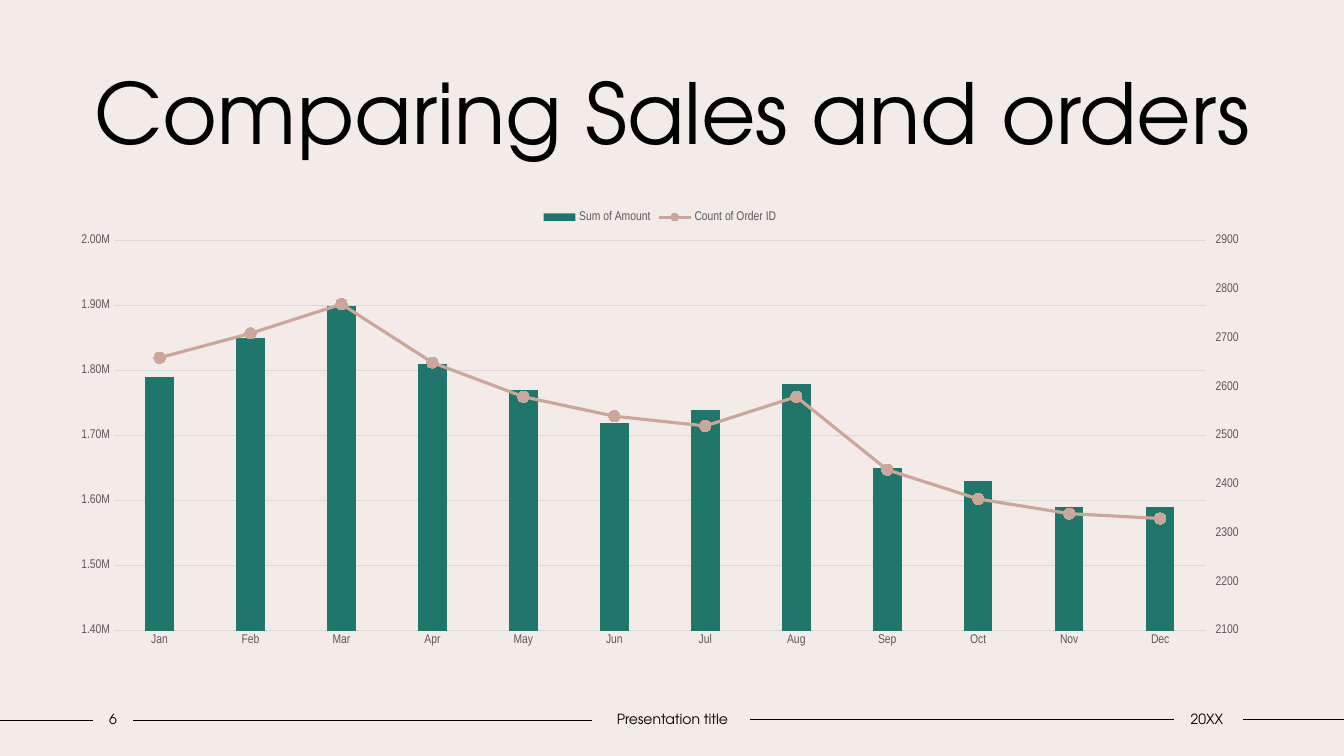
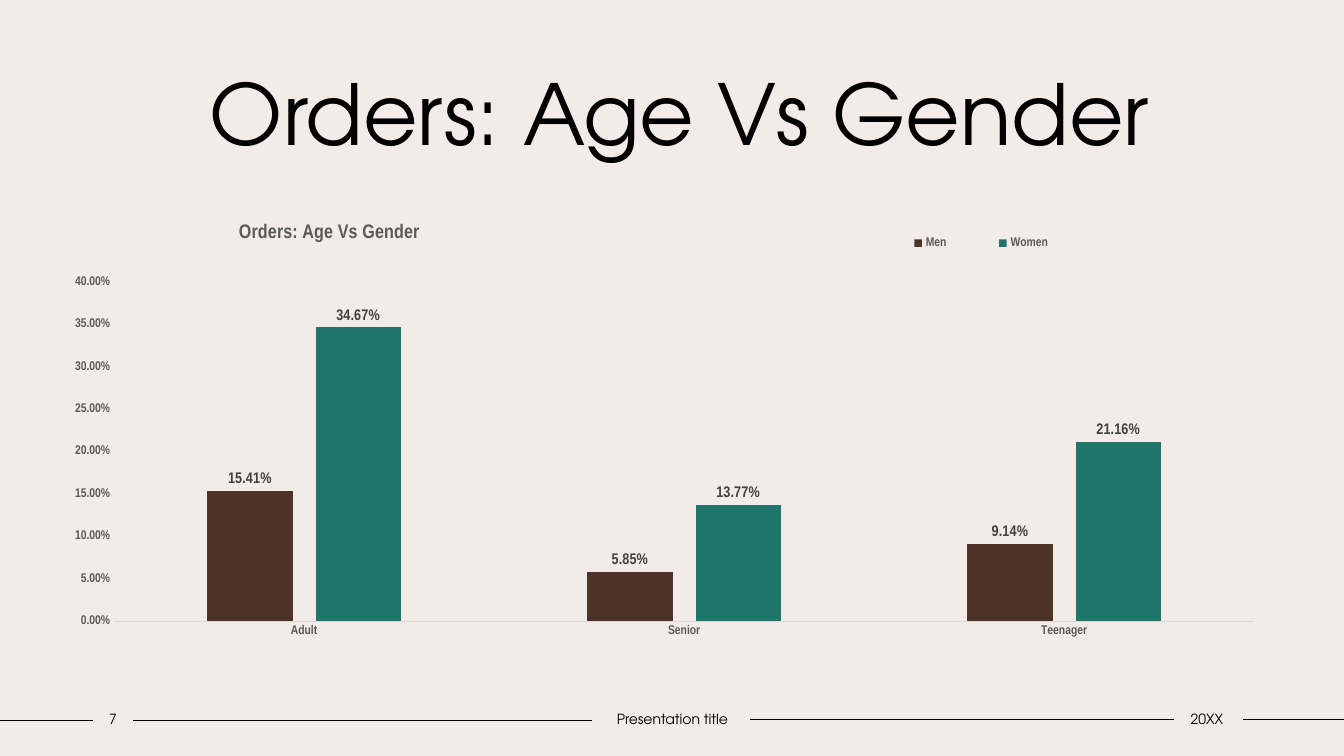
from dataclasses import dataclass

from pptx import Presentation
from pptx.chart.axis import ValueAxis
from pptx.chart.data import CategoryChartData
from pptx.dml.color import RGBColor
from pptx.enum.chart import (XL_CHART_TYPE, XL_LABEL_POSITION, XL_LEGEND_POSITION,
                             XL_MARKER_STYLE, XL_TICK_MARK)
from pptx.enum.shapes import MSO_CONNECTOR
from pptx.enum.text import MSO_ANCHOR, PP_ALIGN
from pptx.oxml import parse_xml
from pptx.oxml.ns import nsdecls, qn
from pptx.util import Inches, Pt

COLUMNS = XL_CHART_TYPE.COLUMN_CLUSTERED
OUTSIDE_END = XL_LABEL_POSITION.OUTSIDE_END
LEGEND_TOP = XL_LEGEND_POSITION.TOP
CIRCLE = XL_MARKER_STYLE.CIRCLE
NO_TICK = XL_TICK_MARK.NONE
TICK_OUT = XL_TICK_MARK.OUTSIDE
STRAIGHT = MSO_CONNECTOR.STRAIGHT
TOP, MIDDLE = MSO_ANCHOR.TOP, MSO_ANCHOR.MIDDLE
CENTER = PP_ALIGN.CENTER


@dataclass(frozen=True)
class Theme:
    paper: str = "F3EBE8"
    ink: str = "000000"
    axis: str = "595959"
    label: str = "404040"
    grid: str = "D9D9D9"
    teal: str = "20766B"
    rose: str = "CAA79A"
    brown: str = "4E3329"
    font: str = "TeX Gyre Adventor"
    chart_font: str = "Arial Narrow"
    title_size: int = 60
    footer_size: int = 10
    chart_title_size: int = 14
    label_size: int = 11
    axis_size: int = 9


T = Theme()

# Content
SALES = {
    "title": "Comparing Sales and orders",
    "title_box": (0.74, 0.55, 11.85, 1.11),
    "number": "6",
    "cats": ["Jan", "Feb", "Mar", "Apr", "May", "Jun",
             "Jul", "Aug", "Sep", "Oct", "Nov", "Dec"],
    "series": [
        ("Sum of Amount", T.teal,
         [1790000, 1850000, 1900000, 1810000, 1770000, 1720000,
          1740000, 1780000, 1650000, 1630000, 1590000, 1590000]),
        ("Count of Order ID", T.rose,
         [2660, 2710, 2770, 2650, 2580, 2540, 2520, 2580, 2430, 2370, 2340, 2330]),
    ],
    "scale": (1400000, 2000000, 100000),
    "format": '0.00,,"M"',
    "bold": False,
    "plot": (0.05, 0.09, 0.9, 0.85),
}
GENDER = {
    "title": "Orders: Age Vs Gender",
    "title_box": (0.55, 0.56, 12.38, 1.11),
    "number": "7",
    "cats": ["Adult", "Senior", "Teenager"],
    "series": [
        ("Men", T.brown, [0.1541, 0.0585, 0.0914]),
        ("Women", T.teal, [0.3467, 0.1377, 0.2116]),
    ],
    "scale": (0, 0.4, 0.05),
    "format": "0.00%",
    "bold": True,
    "plot": (0.05, 0.18, 0.94, 0.74),
}
ORDER_SCALE = (2100, 2900, 100)
CHART_BOX = (0.53, 1.98, 12.03, 4.55)

# Footer: rules as (from x, to x, y), texts as (left, width)
FOOTER_RULES = [(0, 0.92, 7.15), (1.32, 5.87, 7.15), (7.44, 11.64, 7.14), (12.33, 13.33, 7.14)]
FOOTER_SLOTS = [(0.92, 0.4), (5.87, 1.6), (11.62, 0.7)]
FOOTER_TOP, FOOTER_HEIGHT = 7, 0.27


def rgb(color):
    return RGBColor.from_string(color)


def set_font(font, name, size, color, bold=False):
    font.name, font.size, font.bold = name, Pt(size), bold
    font.color.rgb = rgb(color)


def add_text(s, box, text, size, anchor, side_inset):
    tf = s.shapes.add_textbox(*map(Inches, box)).text_frame
    tf.word_wrap, tf.vertical_anchor = True, anchor
    tf.margin_left = tf.margin_right = Inches(side_inset)
    p = tf.paragraphs[0]
    p.alignment = CENTER
    r = p.add_run()
    r.text = text
    set_font(r.font, T.font, size, T.ink)


def add_base(prs, content):
    """Slide with its title and the shared footer."""
    s = prs.slides.add_slide(prs.slide_layouts[6])
    for x1, x2, y in FOOTER_RULES:
        rule = s.shapes.add_connector(STRAIGHT, *map(Inches, (x1, y, x2, y)))
        rule.line.color.rgb, rule.line.width = rgb(T.ink), Pt(1)
        rule._element.spPr.append(parse_xml(f"<a:effectLst {nsdecls('a')}/>"))
    add_text(s, content["title_box"], content["title"], T.title_size, TOP, 0.1)
    texts = (content["number"], "Presentation title", "20XX")
    for (left, width), text in zip(FOOTER_SLOTS, texts):
        add_text(s, (left, FOOTER_TOP, width, FOOTER_HEIGHT), text,
                 T.footer_size, MIDDLE, 0)
    return s


def set_layout(parent, index, x, y, w=None, h=None, inner=False):
    """Place a chart part, in shares of the chart's size."""
    for old in parent.findall(qn("c:layout")):
        parent.remove(old)
    tags = [("layoutTarget", "inner")] if inner else []
    tags += [("xMode", "edge"), ("yMode", "edge"), ("x", x), ("y", y)]
    tags += [(tag, v) for tag, v in (("w", w), ("h", h)) if v is not None]
    body = "".join(f'<c:{tag} val="{v}"/>' for tag, v in tags)
    parent.insert(index, parse_xml(
        f"<c:layout {nsdecls('c')}><c:manualLayout>{body}</c:manualLayout></c:layout>"))


def style_value_axis(axis, scale, number_format, bold, tick=NO_TICK):
    axis.minimum_scale, axis.maximum_scale, axis.major_unit = scale
    axis.major_tick_mark, axis.minor_tick_mark = tick, NO_TICK
    axis.format.line.fill.background()
    axis.tick_labels.number_format = number_format
    axis.tick_labels.number_format_is_linked = False
    set_font(axis.tick_labels.font, T.chart_font, T.axis_size, T.axis, bold)


def add_column_chart(s, content):
    data = CategoryChartData(number_format="General")
    data.categories = content["cats"]
    for name, _, values in content["series"]:
        data.add_series(name, values)
    chart = s.shapes.add_chart(COLUMNS, *map(Inches, CHART_BOX), data).chart
    bold = content["bold"]
    set_font(chart.font, T.chart_font, 10, T.ink, bold)
    chart.has_title = False

    plot = chart.plots[0]
    plot.gap_width, plot.overlap, plot.vary_by_categories = 219, -27, False
    for series, (_, color, _) in zip(plot.series, content["series"]):
        series.format.fill.solid()
        series.format.fill.fore_color.rgb = rgb(color)

    months = chart.category_axis
    months.major_tick_mark = months.minor_tick_mark = NO_TICK
    months.format.line.color.rgb, months.format.line.width = rgb(T.grid), Pt(0.75)
    set_font(months.tick_labels.font, T.chart_font, T.axis_size, T.axis, bold)
    style_value_axis(chart.value_axis, content["scale"], content["format"], bold)
    chart.value_axis.has_major_gridlines = False

    chart.has_legend = True
    chart.legend.position, chart.legend.include_in_layout = LEGEND_TOP, False
    set_font(chart.legend.font, T.chart_font, T.axis_size, T.axis, bold)
    set_layout(chart._chartSpace.chart.plotArea, 0, *content["plot"], inner=True)
    return chart


def move_last_series_to_line(chart, color):
    """Draw the last column series as a line on a right-hand axis."""
    area = chart._chartSpace.chart.plotArea
    bars = area.find(qn("c:barChart"))
    ser = bars.findall(qn("c:ser"))[-1]
    for tag in ("c:spPr", "c:invertIfNegative"):
        for part in ser.findall(qn(tag)):
            ser.remove(part)
    line_chart = parse_xml(
        f'<c:lineChart {nsdecls("c")}><c:grouping val="standard"/><c:varyColors val="0"/>'
        '<c:marker val="1"/><c:axId val="5001"/><c:axId val="5002"/></c:lineChart>')
    line_chart.insert(2, ser)
    bars.addnext(line_chart)

    last_axis = area.findall(qn("c:valAx"))[-1]
    for tag, own, other, deleted, pos, crosses in (
            ("catAx", 5001, 5002, 1, "b", "autoZero"), ("valAx", 5002, 5001, 0, "r", "max")):
        axis = parse_xml(
            f'<c:{tag} {nsdecls("c")}><c:axId val="{own}"/>'
            '<c:scaling><c:orientation val="minMax"/></c:scaling>'
            f'<c:delete val="{deleted}"/><c:axPos val="{pos}"/>'
            '<c:majorTickMark val="none"/><c:minorTickMark val="none"/>'
            f'<c:tickLblPos val="nextTo"/><c:crossAx val="{other}"/>'
            f'<c:crosses val="{crosses}"/></c:{tag}>')
        last_axis.addnext(axis)
        last_axis = axis
    style_value_axis(ValueAxis(last_axis), ORDER_SCALE, "General", False, TICK_OUT)

    series = chart.plots[1].series[0]
    series.smooth = False
    series.format.line.color.rgb, series.format.line.width = rgb(color), Pt(2.25)
    marker = series.marker
    marker.style, marker.size = CIRCLE, 8
    marker.format.fill.solid()
    marker.format.fill.fore_color.rgb = rgb(color)
    marker.format.line.color.rgb = rgb(color)


def add_sales_slide(prs):
    chart = add_column_chart(add_base(prs, SALES), SALES)
    chart.value_axis.has_major_gridlines = True
    grid = chart.value_axis.major_gridlines.format.line
    grid.color.rgb, grid.width = rgb(T.grid), Pt(0.75)
    move_last_series_to_line(chart, T.rose)


def add_gender_slide(prs):
    chart = add_column_chart(add_base(prs, GENDER), GENDER)
    # Chart title and legend
    chart.has_title = True
    r = chart.chart_title.text_frame.paragraphs[0].add_run()
    r.text = GENDER["title"]
    set_font(r.font, T.chart_font, T.chart_title_size, T.axis, True)
    set_layout(chart.chart_title._element, 1, 0.15, 0.04)
    set_layout(chart.legend._element, 1, 0.67, 0.06, 0.19, 0.07)
    # Value labels
    for series in chart.plots[0].series:
        labels = series.data_labels
        labels.show_value, labels.position = True, OUTSIDE_END
        labels.number_format, labels.number_format_is_linked = GENDER["format"], False
        set_font(labels.font, T.chart_font, T.label_size, T.label, True)


def main():
    prs = Presentation()
    prs.slide_width, prs.slide_height = Inches(13.33), Inches(7.5)
    paper = prs.slide_master.background.fill
    paper.solid()
    paper.fore_color.rgb = rgb(T.paper)
    add_sales_slide(prs)
    add_gender_slide(prs)
    prs.save("out.pptx")


if __name__ == "__main__":
    main()
